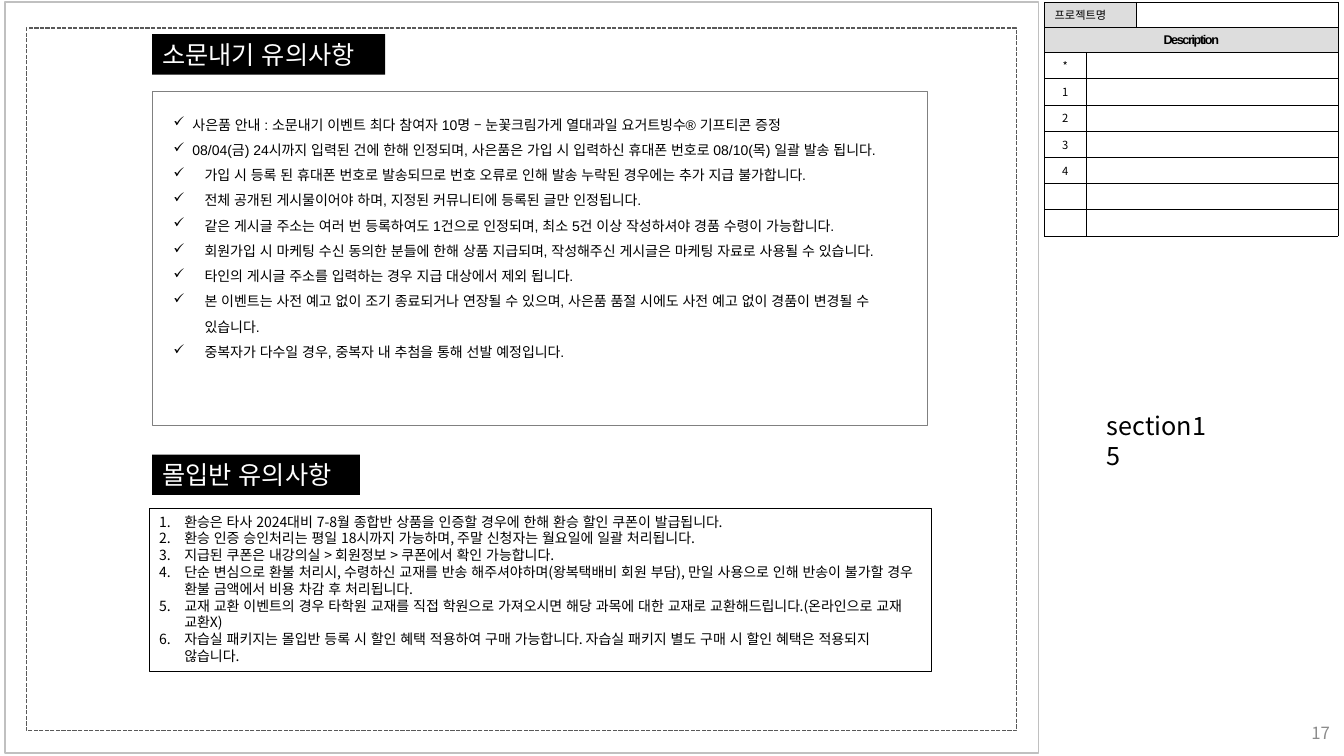
from lxml.etree import SubElement
from pptx import Presentation
from pptx.dml.color import RGBColor
from pptx.enum.dml import MSO_LINE
from pptx.enum.lang import MSO_LANGUAGE_ID as Language
from pptx.enum.shapes import MSO_SHAPE
from pptx.enum.text import MSO_ANCHOR as Anchor, PP_ALIGN as Align
from pptx.oxml.ns import qn
from pptx.util import Inches, Pt

SANS = "Noto Sans CJK KR"
LATIN = "Arial"

SHARE_NOTES = [
    (0.19, "사은품 안내 : 소문내기 이벤트 최다 참여자 10명 – 눈꽃크림가게 열대과일 요거트빙수® 기프티콘 증정"),
    (0.19, "08/04(금) 24시까지 입력된 건에 한해 인정되며, 사은품은 가입 시 입력하신 휴대폰 번호로 08/10(목) 일괄 발송 됩니다."),
    (0.31, "가입 시 등록 된 휴대폰 번호로 발송되므로 번호 오류로 인해 발송 누락된 경우에는 추가 지급 불가합니다."),
    (0.31, "전체 공개된 게시물이어야 하며, 지정된 커뮤니티에 등록된 글만 인정됩니다."),
    (0.31, "같은 게시글 주소는 여러 번 등록하여도 1건으로 인정되며, 최소 5건 이상 작성하셔야 경품 수령이 가능합니다."),
    (0.31, "회원가입 시 마케팅 수신 동의한 분들에 한해 상품 지급되며, 작성해주신 게시글은 마케팅 자료로 사용될 수 있습니다."),
    (0.31, "타인의 게시글 주소를 입력하는 경우 지급 대상에서 제외 됩니다."),
    (0.31, "본 이벤트는 사전 예고 없이 조기 종료되거나 연장될 수 있으며, 사은품 품절 시에도 사전 예고 없이 경품이 변경될 수 있습니다."),
    (0.31, "중복자가 다수일 경우, 중복자 내 추첨을 통해 선발 예정입니다."),
]
CLASS_NOTES = [
    (0.25, "환승은 타사 2024대비 7-8월 종합반 상품을 인증할 경우에 한해 환승 할인 쿠폰이 발급됩니다."),
    (0.25, "환승 인증 승인처리는 평일 18시까지 가능하며, 주말 신청자는 월요일에 일괄 처리됩니다."),
    (0.25, "지급된 쿠폰은 내강의실 > 회원정보 > 쿠폰에서 확인 가능합니다."),
    (0.25, "단순 변심으로 환불 처리시, 수령하신 교재를 반송 해주셔야하며(왕복택배비 회원 부담), 만일 사용으로 인해 반송이 불가할 경우 환불 금액에서 비용 차감 후 처리됩니다."),
    (0.25, "교재 교환 이벤트의 경우 타학원 교재를 직접 학원으로 가져오시면 해당 과목에 대한 교재로 교환해드립니다.(온라인으로 교재 교환X)"),
    (0.25, "자습실 패키지는 몰입반 등록 시 할인 혜택 적용하여 구매 가능합니다. 자습실 패키지 별도 구매 시 할인 혜택은 적용되지 않습니다."),
]
DESCRIPTION_MARKS = ["*", "1", "2", "3", "4", "", ""]


def rgb(value):
    return RGBColor.from_string(value)


class Storyboard:
    def __init__(self, slide):
        self.slide = slide

    def style(self, paragraph, size, font, color="000000", align=Align.LEFT):
        paragraph.alignment = align
        for run in paragraph.runs:
            run.font.size = Pt(size)
            run.font.name = font
            run.font.color.rgb = rgb(color)
            run.font.language_id = Language.KOREAN
            SubElement(run.font._element, qn("a:ea"), typeface=SANS)

    def frame(self, box, line=None, width=1, fill=None, dash=None):
        shape = self.slide.shapes.add_shape(MSO_SHAPE.RECTANGLE, *map(Inches, box))
        shape.shadow.inherit = False
        if fill:
            shape.fill.solid()
            shape.fill.fore_color.rgb = rgb(fill)
        else:
            shape.fill.background()
        if line:
            shape.line.color.rgb = rgb(line)
            shape.line.width = Pt(width)
            if dash:
                shape.line.dash_style = dash
        else:
            shape.line.fill.background()
        return shape

    def put_text(self, shape, text, size, font, color="000000", align=Align.LEFT, anchor=Anchor.TOP):
        text_frame = shape.text_frame
        text_frame.word_wrap = True
        text_frame.vertical_anchor = anchor
        text_frame.text = text
        for paragraph in text_frame.paragraphs:
            self.style(paragraph, size, font, color, align)

    def label(self, box, text, size, font, **look):
        textbox = self.slide.shapes.add_textbox(*map(Inches, box))
        self.put_text(textbox, text, size, font, **look)
        return textbox

    def heading(self, box, text):
        self.put_text(self.frame(box, fill="000000"), text, 18, LATIN, "FFFFFF")

    def notes(self, shape, items, font, bullet, spacing=None):
        self.put_text(shape, "\n".join(text for _, text in items), 10, font)
        for paragraph, (indent, _) in zip(shape.text_frame.paragraphs, items):
            if spacing:
                paragraph.line_spacing = spacing
            properties = paragraph._p.get_or_add_pPr()
            properties.set("marL", str(Inches(indent)))
            properties.set("indent", str(Inches(-indent)))
            tag, attributes = bullet
            SubElement(properties, qn(tag), **attributes)

    def cell(self, cell, fill):
        properties = cell._tc.get_or_add_tcPr()
        for side in ("a:lnL", "a:lnR", "a:lnT", "a:lnB"):
            border = SubElement(properties, qn(side), w=str(Pt(0.25)))
            SubElement(SubElement(border, qn("a:solidFill")), qn("a:srgbClr"), val="000000")
        cell.fill.solid()
        cell.fill.fore_color.rgb = rgb(fill)
        cell.vertical_anchor = Anchor.MIDDLE
        cell.margin_top = cell.margin_bottom = Inches(0.04)
        SubElement(cell.text_frame.paragraphs[0]._p, qn("a:endParaRPr"), sz="800")

    def entry(self, cell, text, size, font, align=Align.LEFT):
        paragraph = cell.text_frame.paragraphs[0]
        paragraph.text = text
        self.style(paragraph, size, font, align=align)
        return paragraph

    def description_table(self, left, top, columns, heights, marks):
        table = self.slide.shapes.add_table(
            len(heights), len(columns), Inches(left), Inches(top),
            Inches(sum(columns)), Inches(sum(heights))).table
        table.first_row = table.horz_banding = False
        for column, width in zip(table.columns, columns):
            column.width = Inches(width)
        for index, (row, height) in enumerate(zip(table.rows, heights)):
            row.height = Inches(height)
            for position, cell in enumerate(row.cells):
                shaded = index == 1 or (index == 0 and position < 2)
                self.cell(cell, "DDDDDD" if shaded else "FFFFFF")
        table.cell(0, 0).merge(table.cell(0, 1))
        table.cell(1, 0).merge(table.cell(1, 2))
        self.entry(table.cell(0, 0), "프로젝트명", 8, SANS)
        title = self.entry(table.cell(1, 0), "Description", 9, LATIN, Align.CENTER).runs[0]
        title.font.bold = True
        title.font._element.set("spc", "-100")
        for row, mark in enumerate(marks, 2):
            table.cell(row, 1).merge(table.cell(row, 2))
            if mark:
                mark_cell = table.cell(row, 0)
                mark_cell.margin_left = mark_cell.margin_right = Inches(0.04)
                self.entry(mark_cell, mark, 8, SANS, Align.CENTER)


def main():
    deck = Presentation()
    deck.slide_width, deck.slide_height = Inches(13.33), Inches(7.5)
    board = Storyboard(deck.slides.add_slide(deck.slide_layouts[6]))

    board.frame((0.05, 0.02, 10.25, 7.45), "C0C0C0")
    board.frame((0.26, 0.28, 9.82, 6.97), "595959", dash=MSO_LINE.SQUARE_DOT)
    board.label((10.29, 7.07, 3, 0.4), "17", 12, SANS,
                color="8C8C8C", align=Align.RIGHT, anchor=Anchor.MIDDLE)

    board.frame((1.51, 0.9, 7.69, 3.32), "808080", 0.25)
    share_notes = board.label((1.62, 1.02, 7.39, 3.35), "", 10, LATIN)
    board.notes(share_notes, SHARE_NOTES, LATIN, ("a:buChar", {"char": "✓"}), 1.5)
    board.heading((1.51, 0.34, 2.31, 0.4), "소문내기 유의사항")

    board.description_table(10.36, 0.02, [0.41, 0.5, 2], [0.25] * 2 + [0.26] * 7, DESCRIPTION_MARKS)

    class_notes = board.frame((1.48, 5.04, 7.76, 1.62), "000000", 0.75)
    board.notes(class_notes, CLASS_NOTES, SANS, ("a:buAutoNum", {"type": "arabicPeriod"}))
    board.heading((1.51, 4.51, 2.06, 0.4), "몰입반 유의사항")
    board.label((10.88, 4.02, 1.29, 0.4), "section15", 18, SANS)

    deck.save("out.pptx")


if __name__ == "__main__":
    main()
